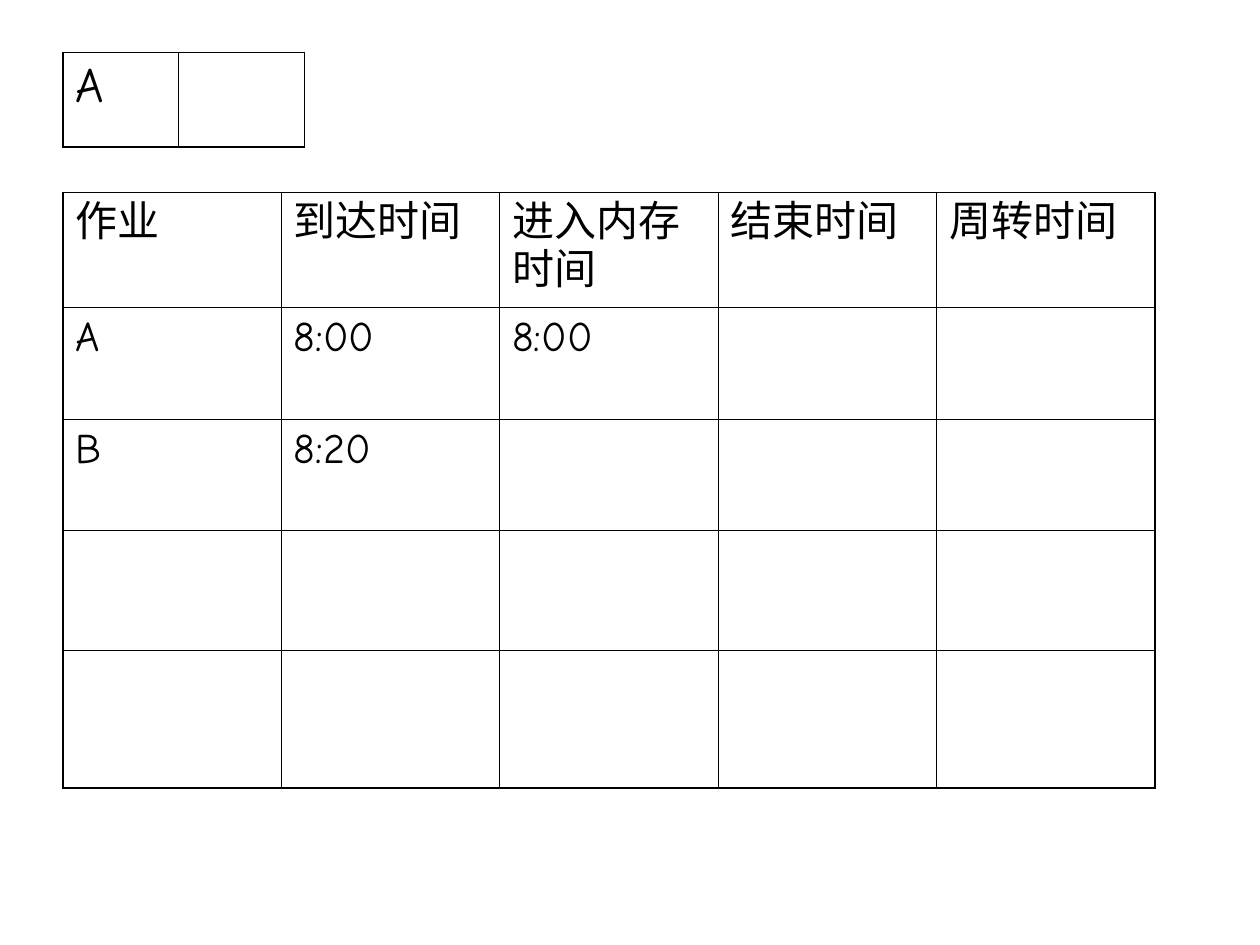
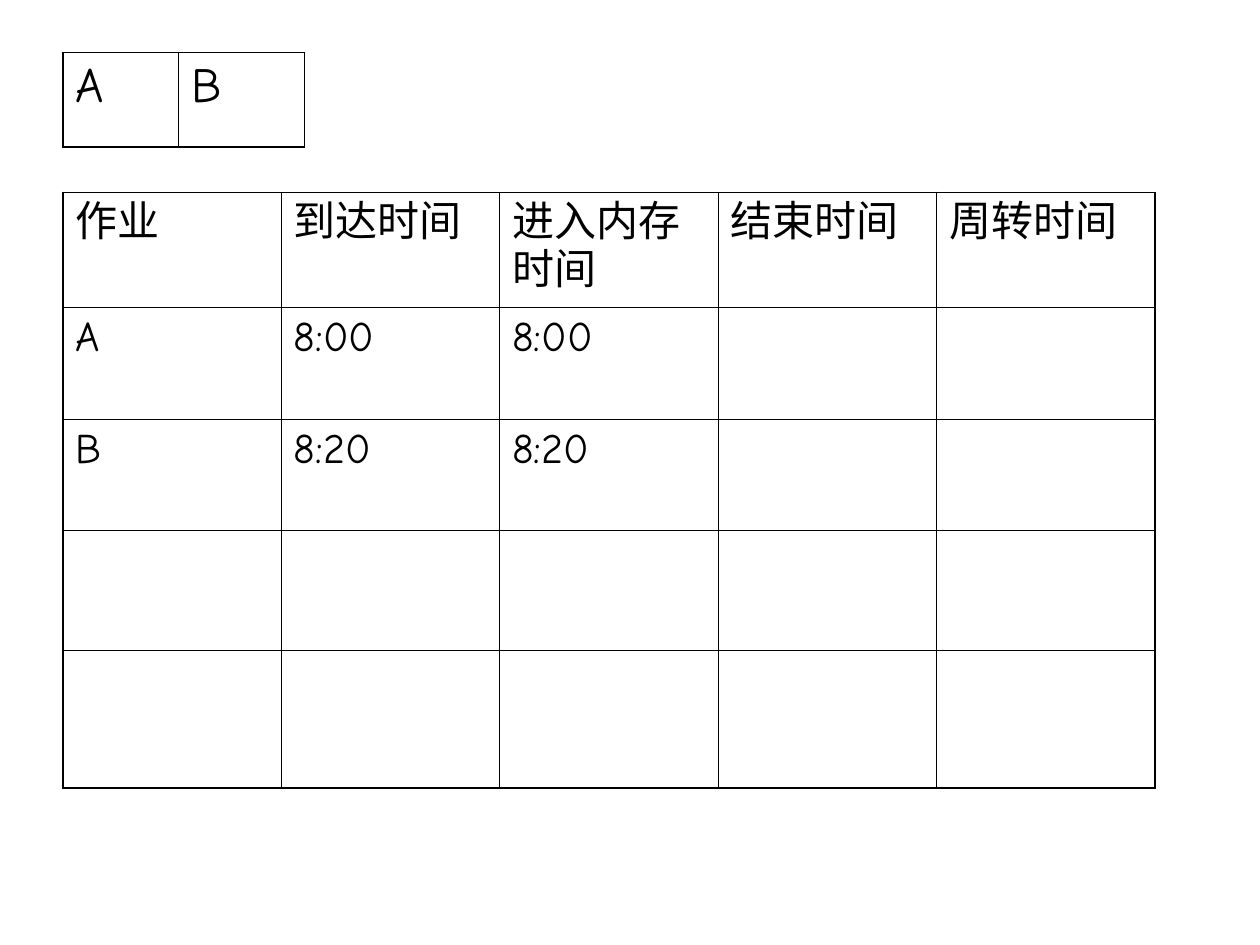
from lxml import etree
from pptx import Presentation
from pptx.dml.color import RGBColor
from pptx.oxml.ns import qn
from pptx.util import Pt

HEADS = ["作业", "到达时间", "进入内存时间", "结束时间", "周转时间"]
STEPS = [
    {"memory": ["A", ""],
     "jobs": [["A", "8:00", "8:00"], ["B", "8:20"]]},
    {"memory": ["A", "B"],
     "jobs": [["A", "8:00", "8:00"], ["B", "8:20", "8:20"]]},
]

INK = RGBColor(0x00, 0x00, 0x00)
FACE = "Comic Neue"
THIN, THICK = Pt(0.45), Pt(1.08)
LEFT = 36
MEMORY = {"top": 30, "cols": [66, 72], "rows": [54], "size": 28, "gap": 7}
JOBS = {"top": 110, "cols": [124.8] * 5, "rows": [65.5, 64, 63.5, 68.5, 79],
        "size": 24, "gap": 6}


def set_lines(cell, widths):
    """Draw the left, right, top and bottom borders, in that order."""
    props = cell._tc.get_or_add_tcPr()
    for spot, (side, width) in enumerate(zip("LRTB", widths)):
        line = etree.Element(qn(f"a:ln{side}"), w=str(int(width)))
        fill = etree.SubElement(line, qn("a:solidFill"))
        etree.SubElement(fill, qn("a:srgbClr"), val=str(INK))
        props.insert(spot, line)


def write(cell, text, look):
    cell.text_frame.text = text
    para = cell.text_frame.paragraphs[0]
    para.space_before = Pt(look["gap"])
    for run in para.runs:
        run.font.size = Pt(look["size"])
        run.font.name = FACE
        run.font.color.rgb = INK
        etree.SubElement(run.font._element, qn("a:ea"), typeface=FACE)


def add_grid(slide, look, lines):
    """Add a table with a thick frame and thin inner lines."""
    cols, rows = look["cols"], look["rows"]
    frame = slide.shapes.add_table(
        len(rows), len(cols), Pt(LEFT), Pt(look["top"]),
        Pt(sum(cols)), Pt(sum(rows)))
    table = frame.table
    table.first_row = table.horz_banding = False
    for col, width in zip(table.columns, cols):
        col.width = Pt(width)
    for row, height in zip(table.rows, rows):
        row.height = Pt(height)
    for r in range(len(rows)):
        for c in range(len(cols)):
            cell = table.cell(r, c)
            cell.fill.background()
            edges = (c == 0, c == len(cols) - 1, r == 0, r == len(rows) - 1)
            set_lines(cell, [THICK if edge else THIN for edge in edges])
    for r, line in enumerate(lines):
        for c, text in enumerate(line):
            if text:
                write(table.cell(r, c), text, look)


def main():
    deck = Presentation()
    deck.slide_width, deck.slide_height = Pt(720), Pt(540)
    for step in STEPS:
        slide = deck.slides.add_slide(deck.slide_layouts[6])
        add_grid(slide, MEMORY, [step["memory"]])
        add_grid(slide, JOBS, [HEADS, *step["jobs"]])
    deck.save("out.pptx")


if __name__ == "__main__":
    main()
